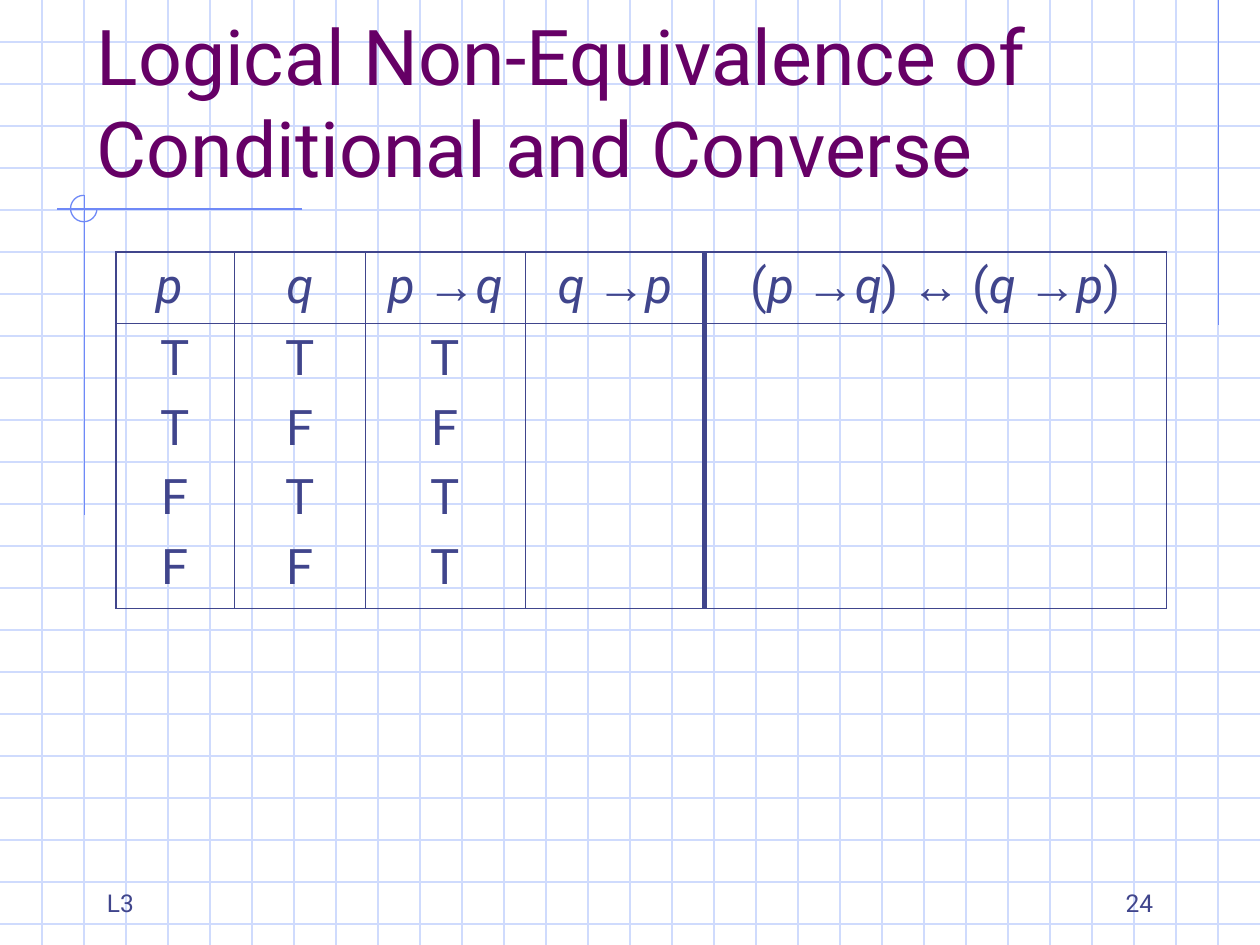
"""Build the slide on the non-equivalence of a conditional and its converse."""
import pptx
import pptx.dml.color
import pptx.enum.shapes
import pptx.enum.text
import pptx.oxml
import pptx.oxml.ns
import pptx.oxml.xmlchemy
import pptx.util

Inches = pptx.util.Inches
Pt = pptx.util.Pt
ALIGN = pptx.enum.text.PP_ALIGN
SHAPE = pptx.enum.shapes.MSO_SHAPE

WIDTH, HEIGHT = 10, 7.5
COLORS = {"grid": "CFDBFD", "accent": "6F89F7", "title": "660066", "ink": "40458C"}
TITLE = {"name": "Roboto", "size": Pt(44)}
FOOTER = {"name": "Roboto", "size": Pt(14)}
UPRIGHT = {"name": "Roboto", "size": Pt(28), "italic": False}
VARIABLE = {**UPRIGHT, "italic": True}
SYMBOL = {**UPRIGHT, "name": "Arial"}
COLUMN_WIDTHS = [0.94, 1.04, 1.27, 1.42, 3.67]
ROW_HEIGHTS = [0.57, 2.26]
TRUTH_VALUES = ["TTFF", "TFTF", "TFTT", "", ""]
OUTER, INNER, DIVIDER = 1.08, 0.45, 3
DIVIDER_COLUMN = 4


def rgb(color):
    return pptx.dml.color.RGBColor.from_string(COLORS[color])


def add_line(page, start, end, color):
    line = page.shapes.add_connector(
        pptx.enum.shapes.MSO_CONNECTOR.STRAIGHT, *map(Inches, start + end))
    line.line.color.rgb = rgb(color)
    line.line.width = Pt(0.75)
    line._element.spPr.append(pptx.oxml.xmlchemy.OxmlElement("a:effectLst"))


def add_grid(page):
    for step in range(1, 23):
        add_line(page, (0, step / 3), (WIDTH, step / 3), "grid")
    for step in range(1, 30):
        add_line(page, (step / 3, 0), (step / 3, HEIGHT), "grid")


def add_ornament(page):
    add_line(page, (9.67, 0), (9.67, 2.58), "accent")
    add_line(page, (2.4, 1.66), (0.45, 1.66), "accent")
    add_line(page, (0.67, 1.55), (0.67, 4.09), "accent")
    arc = page.shapes.add_shape(SHAPE.ARC, *map(Inches, (0.56, 1.55, 0.21, 0.21)))
    arc.adjustments[0], arc.adjustments[1] = 0, 162
    arc.shadow.inherit = False
    arc.fill.background()
    arc.line.color.rgb = rgb("accent")
    arc.line.width = Pt(0.75)


def add_span(para, text, style, color="ink"):
    span = para.add_run()
    span.text = text
    for name, value in style.items():
        setattr(span.font, name, value)
    span.font.color.rgb = rgb(color)


def add_text(page, place, text, style, color="ink", align=ALIGN.LEFT):
    box = page.shapes.add_textbox(*map(Inches, place))
    box.text_frame.word_wrap = True
    box.text_frame.vertical_anchor = pptx.enum.text.MSO_ANCHOR.BOTTOM
    para = box.text_frame.paragraphs[0]
    para.alignment = align
    add_span(para, text, style, color)


def implication(premise, conclusion):
    return [(premise + " ", VARIABLE), ("→", SYMBOL), (conclusion, VARIABLE)]


def header_formulas():
    conditional, converse = implication("p", "q"), implication("q", "p")
    comparison = [("(", UPRIGHT), *conditional, (") ", UPRIGHT), ("↔", SYMBOL),
                  (" (", UPRIGHT), *converse, (")", UPRIGHT)]
    return [[("p ", VARIABLE)], [("q", VARIABLE)], conditional, converse, comparison]


def fill_cell(cell, lines):
    for index, spans in enumerate(lines):
        frame = cell.text_frame
        para = frame.add_paragraph() if index else frame.paragraphs[0]
        para.alignment = ALIGN.CENTER
        if index:
            para.space_before = Pt(7)
        for text, style in spans:
            add_span(para, text, style)


def column_border(edge):
    if edge in (0, len(COLUMN_WIDTHS)):
        return OUTER
    return DIVIDER if edge == DIVIDER_COLUMN else INNER


def row_border(edge):
    return OUTER if edge in (0, len(ROW_HEIGHTS)) else INNER


def set_borders(cell, row, column):
    widths = {"L": column_border(column), "R": column_border(column + 1),
              "T": row_border(row), "B": row_border(row + 1)}
    properties = cell._tc.get_or_add_tcPr()
    for side, width in widths.items():
        properties.append(pptx.oxml.parse_xml(
            f'<a:ln{side} {pptx.oxml.ns.nsdecls("a")} w="{int(Pt(width))}"><a:solidFill>'
            f'<a:srgbClr val="{COLORS["ink"]}"/></a:solidFill></a:ln{side}>'))
    cell.fill.background()


def add_truth_table(page):
    table = page.shapes.add_table(
        len(ROW_HEIGHTS), len(COLUMN_WIDTHS), Inches(0.92), Inches(2),
        Inches(sum(COLUMN_WIDTHS)), Inches(sum(ROW_HEIGHTS))).table
    table.first_row = table.horz_banding = False
    for row, height in zip(table.rows, ROW_HEIGHTS):
        row.height = Inches(height)
    for column, width in zip(table.columns, COLUMN_WIDTHS):
        column.width = Inches(width)
    for column, (formula, values) in enumerate(zip(header_formulas(), TRUTH_VALUES)):
        body = [[(value, UPRIGHT)] for value in values]
        for row, lines in enumerate([[formula], body]):
            cell = table.cell(row, column)
            fill_cell(cell, lines)
            set_borders(cell, row, column)


def main():
    deck = pptx.Presentation()
    deck.slide_width, deck.slide_height = Inches(WIDTH), Inches(HEIGHT)
    page = deck.slides.add_slide(deck.slide_layouts[6])
    add_grid(page)
    add_ornament(page)
    add_text(page, (0.67, 0.33, 8.5, 1.25),
             "Logical Non-Equivalence of Conditional and Converse", TITLE, "title")
    add_truth_table(page)
    add_text(page, (7.17, 6.83, 2.08, 0.5), "24", FOOTER, align=ALIGN.RIGHT)
    add_text(page, (0.75, 6.83, 2.08, 0.5), "L3", FOOTER)
    deck.save("out.pptx")


if __name__ == "__main__":
    main()
